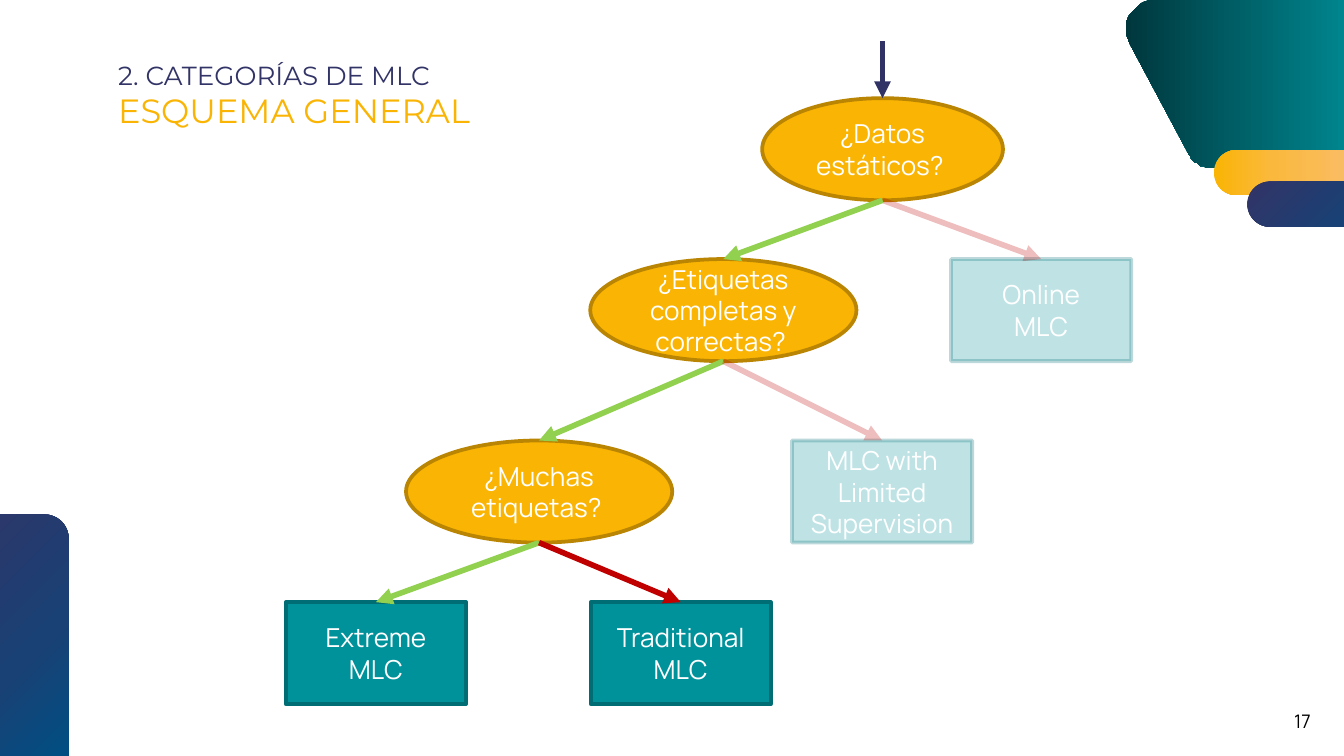
from copy import deepcopy

from pptx import Presentation
from pptx.dml.color import RGBColor
from pptx.enum.shapes import MSO_CONNECTOR, MSO_SHAPE
from pptx.enum.text import MSO_ANCHOR, MSO_AUTO_SIZE, PP_ALIGN
from pptx.oxml.ns import qn
from pptx.util import Pt

NAVY = RGBColor(0x32, 0x33, 0x66)
STEEL = RGBColor(0x19, 0x41, 0x75)
BLUE = RGBColor(0x00, 0x4F, 0x83)
INK = RGBColor(0x30, 0x31, 0x65)
GOLD = RGBColor(0xFA, 0xB4, 0x03)
AMBER = RGBColor(0xFA, 0xB9, 0x3C)
SAND = RGBColor(0xFA, 0xBE, 0x75)
BROWN = RGBColor(0xB9, 0x85, 0x02)
TEAL = RGBColor(0x00, 0x92, 0x9B)
PINE = RGBColor(0x00, 0x6C, 0x73)
DARK = RGBColor(0x00, 0x37, 0x3D)
GREEN = RGBColor(0x92, 0xD0, 0x50)
RED = RGBColor(0xC0, 0x00, 0x00)
WHITE = RGBColor(0xFF, 0xFF, 0xFF)
BLACK = RGBColor(0x00, 0x00, 0x00)

ROWS = (52.6, 138.8, 236, 322.6)
HIGH = 54.7
FADE = 25


def set_font(run, size, color, name="Manrope"):
    run.font.size = Pt(size)
    run.font.name = name
    run.font.color.rgb = color


def fade(shape):
    for color in shape._element.spPr.iter(qn("a:srgbClr")):
        alpha = color.makeelement(qn("a:alpha"), {"val": str(FADE * 1000)})
        color.append(alpha)


def blend(shape, stops, angle):
    shape.shadow.inherit = False
    shape.line.fill.background()
    fill = shape.fill
    fill.gradient()
    fill.gradient_angle = angle
    marks = shape._element.spPr.find(".//" + qn("a:gsLst"))
    for _ in stops[2:]:
        marks.append(deepcopy(marks[-1]))
    for stop, (place, color) in zip(fill.gradient_stops, stops):
        stop.position = place
        stop.color.rgb = color


def curve(start, first, second, end, steps=12):
    points = []
    for step in range(1, steps + 1):
        t = step / steps
        u = 1 - t
        points.append(tuple(
            u**3 * a + 3 * u * u * t * b + 3 * u * t * t * c + t**3 * d
            for a, b, c, d in zip(start, first, second, end)))
    return points


def add_wedge(slide):
    start, low = (604.8, 23), (637.2, 82.8)
    points = [low]
    points += curve(low, (639.4, 87.1), (643.7, 90), (648.7, 90))
    points += [(740.2, 90), (740.2, 0), (619.2, 0)]
    points += curve((619.2, 0), (607, 0), (599, 13), start)
    path = slide.shapes.build_freeform(*start, scale=Pt(1))
    path.add_line_segments(points, close=True)
    blend(path.convert_to_shape(), [(0, TEAL), (1, DARK)], 180)


def add_bar(slide, kind, box, round_by, stops):
    bar = slide.shapes.add_shape(kind, *map(Pt, box))
    bar.adjustments[0] = round_by
    blend(bar, stops, 0 if stops[0][1] == GOLD else 315)


def add_title(slide):
    box = slide.shapes.add_textbox(Pt(56.2), Pt(28.1), Pt(607.7), Pt(45.4))
    frame = box.text_frame
    frame.word_wrap = True
    frame.vertical_anchor = MSO_ANCHOR.MIDDLE
    frame.text = "2. CATEGORÍAS DE MLC\vESQUEMA GENERAL"
    top, main_run = frame.paragraphs[0].runs
    set_font(top, 14, NAVY, "Montserrat")
    set_font(main_run, 18, GOLD, "Montserrat")


def add_page(slide):
    box = slide.shapes.add_textbox(Pt(686.2), Pt(376.6), Pt(24.5), Pt(19.4))
    frame = box.text_frame
    frame.word_wrap = False
    frame.auto_size = MSO_AUTO_SIZE.SHAPE_TO_FIT_TEXT
    frame.text = "17"
    set_font(frame.paragraphs[0].runs[0], 10, BLACK)


def add_node(slide, kind, mid, row, width, text, fill, edge):
    node = slide.shapes.add_shape(
        kind, Pt(mid - width / 2), Pt(ROWS[row]), Pt(width), Pt(HIGH))
    node.shadow.inherit = False
    node.fill.solid()
    node.fill.fore_color.rgb = fill
    node.line.color.rgb = edge
    node.line.width = Pt(2)
    frame = node.text_frame
    frame.word_wrap = True
    frame.vertical_anchor = MSO_ANCHOR.MIDDLE
    frame.text = text
    for line in frame.paragraphs:
        line.alignment = PP_ALIGN.CENTER
        set_font(line.runs[0], 14, WHITE)
    return node


def add_test(slide, mid, row, width, text):
    return add_node(slide, MSO_SHAPE.OVAL, mid, row, width, text, GOLD, BROWN)


def add_leaf(slide, mid, row, text, faint=False):
    leaf = add_node(
        slide, MSO_SHAPE.RECTANGLE, mid, row, 96.5, text, TEAL, PINE)
    if faint:
        fade(leaf)
    return leaf


def add_arrow(slide, x, y, goal, color, faint=False):
    arrow = slide.shapes.add_connector(
        MSO_CONNECTOR.STRAIGHT, x, y, goal.left + goal.width // 2, goal.top)
    arrow.end_connect(goal, 0)
    arrow.line.color.rgb = color
    arrow.line.width = Pt(3)
    props = arrow._element.spPr
    line = arrow.line._get_or_add_ln()
    line.append(line.makeelement(qn("a:tailEnd"), {"type": "triangle"}))
    props.append(props.makeelement(qn("a:effectLst"), {}))
    if faint:
        fade(arrow)


def add_branch(slide, test, goal, color, faint=False):
    add_arrow(slide, test.left + test.width // 2, test.top + test.height,
              goal, color, faint)


def main():
    deck = Presentation()
    deck.slide_width, deck.slide_height = Pt(720), Pt(405)
    slide = deck.slides.add_slide(deck.slide_layouts[6])

    blues = [(0, NAVY), (0.63, STEEL), (1, BLUE)]
    golds = [(0, GOLD), (0.34, AMBER), (1, SAND)]
    pill = MSO_SHAPE.ROUNDED_RECTANGLE
    add_wedge(slide)
    add_bar(slide, pill, (650.3, 80.4, 89.5, 24.2), 0.5, golds)
    add_bar(slide, pill, (668.2, 97.2, 89.5, 24.3), 0.5, blues)
    add_bar(slide, MSO_SHAPE.ROUND_2_SAME_RECTANGLE,
            (-41, 275.6, 77.8, 131.8), 0.167, blues)
    add_title(slide)

    data = add_test(slide, 472.8, 0, 129, "¿Datos estáticos? ")
    labels = add_test(slide, 387.5, 1, 142.6,
                      "¿Etiquetas completas y correctas? ")
    many = add_test(slide, 288.8, 2, 142.6, "¿Muchas etiquetas? ")
    online = add_leaf(slide, 557.8, 1, "Online\nMLC", True)
    limited = add_leaf(slide, 472.6, 2, "MLC with Limited Supervision", True)
    extreme = add_leaf(slide, 201.4, 3, "Extreme\nMLC")
    classic = add_leaf(slide, 364.7, 3, "Traditional MLC")

    add_arrow(slide, data.left + data.width // 2, Pt(22), data, INK)
    add_branch(slide, data, online, RED, True)
    add_branch(slide, data, labels, GREEN)
    add_branch(slide, labels, many, GREEN)
    add_branch(slide, labels, limited, RED, True)
    add_branch(slide, many, extreme, GREEN)
    add_branch(slide, many, classic, RED)
    add_page(slide)
    deck.save("out.pptx")


if __name__ == "__main__":
    main()
